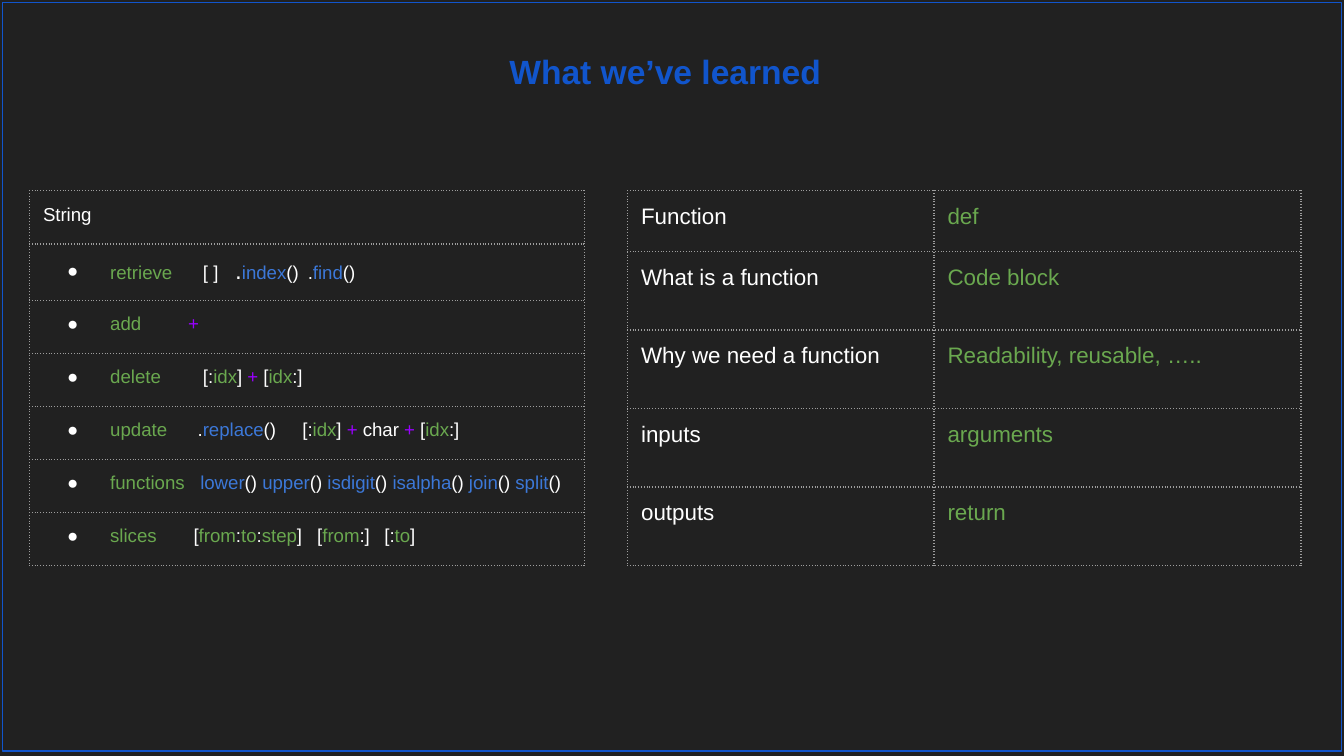
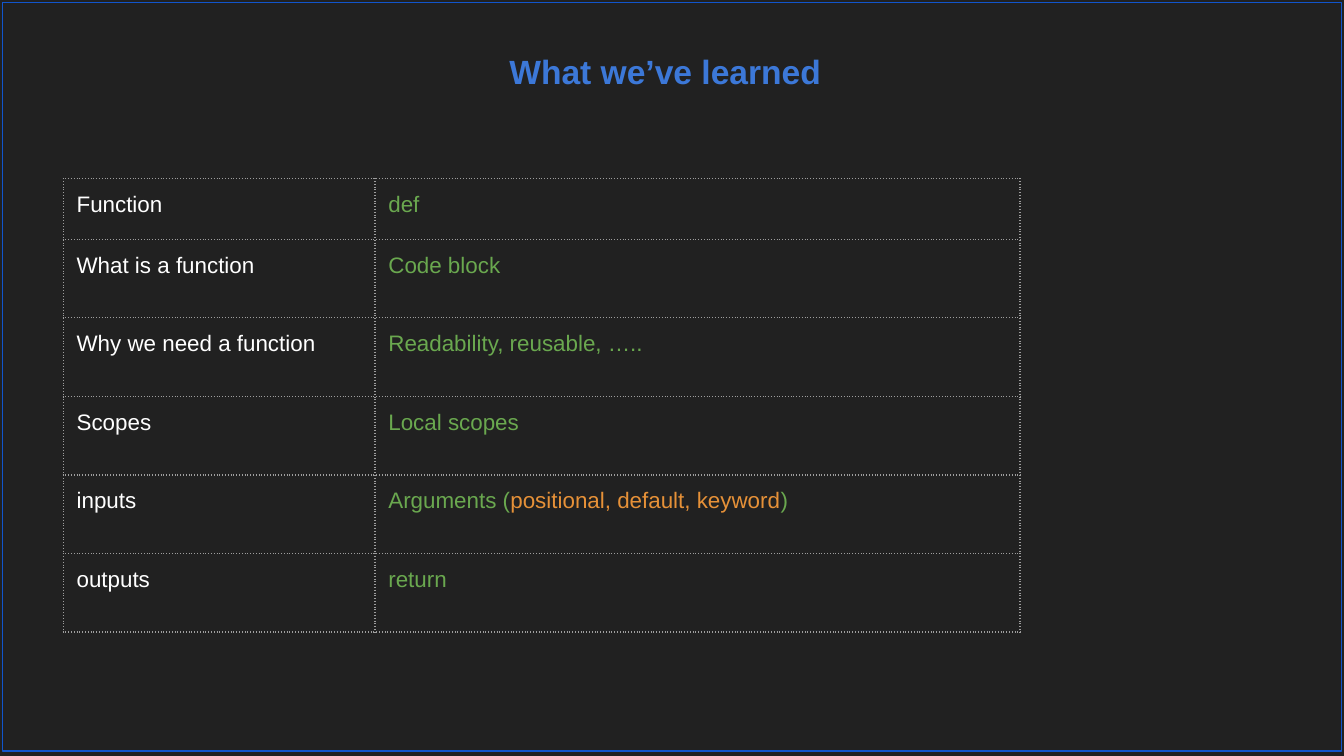
import functools
from dataclasses import dataclass

import pptx
import pptx.dml.color
import pptx.enum.shapes
import pptx.enum.text
import pptx.oxml
import pptx.oxml.ns
import pptx.util
from lxml import etree

Inches, Pt = pptx.util.Inches, pptx.util.Pt
qn = pptx.oxml.ns.qn


# Theme
@dataclass(frozen=True)
class Theme:
    font: str = "Arial"
    background: str = "212121"
    white: str = "FFFFFF"
    green: str = "6AA84F"
    blue: str = "3C78D8"
    deep_blue: str = "1155CC"
    purple: str = "9900FF"
    orange: str = "E69138"
    grid: str = "9E9E9E"
    title_size: int = 18
    dot_size: int = 13
    cell_size: int = 12
    list_size: int = 10
    line: float = 0.75
    inset: float = 0.1


THEME = Theme()


@dataclass(frozen=True)
class Span:
    text: str
    colour: str = THEME.white
    size: int = 0


green = functools.partial(Span, colour=THEME.green)
blue = functools.partial(Span, colour=THEME.blue)
purple = functools.partial(Span, colour=THEME.purple)
orange = functools.partial(Span, colour=THEME.orange)


def rgb(colour):
    return pptx.dml.color.RGBColor.from_string(colour)


class Deck:
    def __init__(self, theme):
        self.theme = theme
        self.prs = pptx.Presentation()
        self.prs.slide_width, self.prs.slide_height = Inches(10), Inches(5.625)
        self.s = None

    def slide(self):
        self.s = self.prs.slides.add_slide(self.prs.slide_layouts[6])
        fill = self.s.background.fill
        fill.solid()
        fill.fore_color.rgb = rgb(self.theme.background)

    def style(self, r, size, colour, bold=False):
        r.font.name = self.theme.font
        r.font.size = Pt(size)
        r.font.color.rgb = rgb(colour)
        r.font.bold = bold

    def title(self, text, colour):
        sp = self.s.shapes.add_textbox(Inches(-0.05), Inches(0.28), Inches(10), Inches(0.63))
        tf = sp.text_frame
        tf.word_wrap = True
        tf.margin_left = tf.margin_right = Inches(self.theme.inset)
        tf.margin_top = tf.margin_bottom = Inches(self.theme.inset)
        tf.text = text
        p = tf.paragraphs[0]
        p.alignment = pptx.enum.text.PP_ALIGN.CENTER
        self.style(p.runs[0], self.theme.title_size, colour, True)

    def frame(self):
        sp = self.s.shapes.add_shape(pptx.enum.shapes.MSO_SHAPE.RECTANGLE,
                                     Inches(0.02), Inches(0.02), Inches(9.96), Inches(5.57))
        sp.shadow.inherit = False
        sp.fill.background()
        sp.line.color.rgb = rgb(self.theme.deep_blue)
        sp.line.width = Pt(self.theme.line)

    def table(self, left, top, widths, heights):
        gf = self.s.shapes.add_table(len(heights), len(widths), Inches(left), Inches(top),
                                     Inches(sum(widths)), Inches(sum(heights)))
        tbl = gf.table
        tbl.first_row = tbl.horz_banding = False
        for column, width in zip(tbl.columns, widths):
            column.width = Inches(width)
        for row, height in zip(tbl.rows, heights):
            row.height = Inches(height)
        return tbl

    def cell(self, cell, spans, size):
        cell.margin_left = cell.margin_right = Inches(self.theme.inset)
        cell.margin_top = cell.margin_bottom = Inches(self.theme.inset)
        cell.fill.background()
        self.borders(cell)
        p = cell.text_frame.paragraphs[0]
        for span in spans:
            span = Span(span) if isinstance(span, str) else span
            r = p.add_run()
            r.text = span.text
            self.style(r, span.size or size, span.colour)
        return p

    def borders(self, cell):
        tcPr = cell._tc.get_or_add_tcPr()
        for i, side in enumerate(("lnL", "lnR", "lnT", "lnB")):
            ln = etree.Element(qn("a:" + side), w=str(Pt(self.theme.line)))
            fill = etree.SubElement(ln, qn("a:solidFill"))
            etree.SubElement(fill, qn("a:srgbClr"), val=self.theme.grid)
            etree.SubElement(ln, qn("a:prstDash"), val="dot")
            tcPr.insert(i, ln)

    def bullet(self, p, stops):
        pPr = p._p.get_or_add_pPr()
        pPr.set("marL", str(Inches(0.5)))
        pPr.set("indent", str(Inches(-0.32)))
        colour = etree.SubElement(pPr, qn("a:buClr"))
        etree.SubElement(colour, qn("a:srgbClr"), val=self.theme.white)
        etree.SubElement(pPr, qn("a:buFont"), typeface=self.theme.font)
        etree.SubElement(pPr, qn("a:buChar"), char="●")
        tabs = etree.SubElement(pPr, qn("a:tabLst"))
        for stop in stops:
            etree.SubElement(tabs, qn("a:tab"), pos=str(Inches(stop)), algn="l")

    def bullet_table(self, left, top, width, heights, heading, items):
        tbl = self.table(left, top, [width], heights)
        size = self.theme.list_size
        self.cell(tbl.cell(0, 0), [heading], size)
        for i, (stops, spans) in enumerate(items, 1):
            self.bullet(self.cell(tbl.cell(i, 0), spans, size), stops)

    def answer_table(self, left, top, widths, rows):
        tbl = self.table(left, top, widths, [0.45] + [0.585] * (len(rows) - 1))
        for i, (question, *answer) in enumerate(rows):
            self.cell(tbl.cell(i, 0), [question], self.theme.cell_size)
            self.cell(tbl.cell(i, 1), answer, self.theme.cell_size)


# Content: tab stops and coloured spans of each string operation
TITLE = "What we’ve learned"
idx, plus = green("idx"), purple("+")
METHODS = ["lower", "upper", "isdigit", "isalpha", "join", "split"]
calls = [part for name in METHODS
         for part in (blue(name), "()" if name == METHODS[-1] else "() ")]
STRING_ITEMS = [
    ([1.19, 1.43, 1.97], [green("retrieve\t"), "[ ]\t", Span(".", size=THEME.dot_size),
                          blue("index"), "()\t.", blue("find"), "()"]),
    ([1.08], [green("add\t"), plus]),
    ([1.19], [green("delete"), "\t[:", idx, "] ", purple("+ "), "[", idx, ":]"]),
    ([1.15, 1.93], [green("update\t"), ".", blue("replace"), "()\t[:", idx, "] ", plus,
                    " char ", plus, " [", idx, ":]"]),
    ([1.17], [green("functions\t"), *calls]),
    ([1.12, 2.04, 2.54], [green("slices\t"), "[", green("from"), ":", green("to"), ":",
                          green("step"), "]\t[", green("from"), ":]\t[:", green("to"), "]"]),
]
BASICS = [
    ("Function", green("def")),
    ("What is a function", green("Code block")),
    ("Why we need a function", green("Readability, reusable, …..")),
]
OUTPUTS = ("outputs", green("return"))


def main():
    deck = Deck(THEME)

    # Slide 1: strings and functions
    deck.slide()
    deck.title(TITLE, THEME.deep_blue)
    deck.bullet_table(0.22, 1.42, 4.13, [0.395, 0.42] + [0.395] * 5, "String", STRING_ITEMS)
    deck.answer_table(4.67, 1.42, [2.28, 2.73],
                      [*BASICS, ("inputs", green("arguments")), OUTPUTS])
    deck.frame()

    # Slide 2: functions with scopes
    deck.slide()
    deck.title(TITLE, THEME.blue)
    deck.answer_table(0.47, 1.33, [2.32, 4.8], [
        *BASICS,
        ("Scopes", green("Local scopes")),
        ("inputs", green("Arguments ("), orange("positional, default, keyword"), green(")")),
        OUTPUTS,
    ])
    deck.frame()

    deck.prs.save("out.pptx")


if __name__ == "__main__":
    main()
